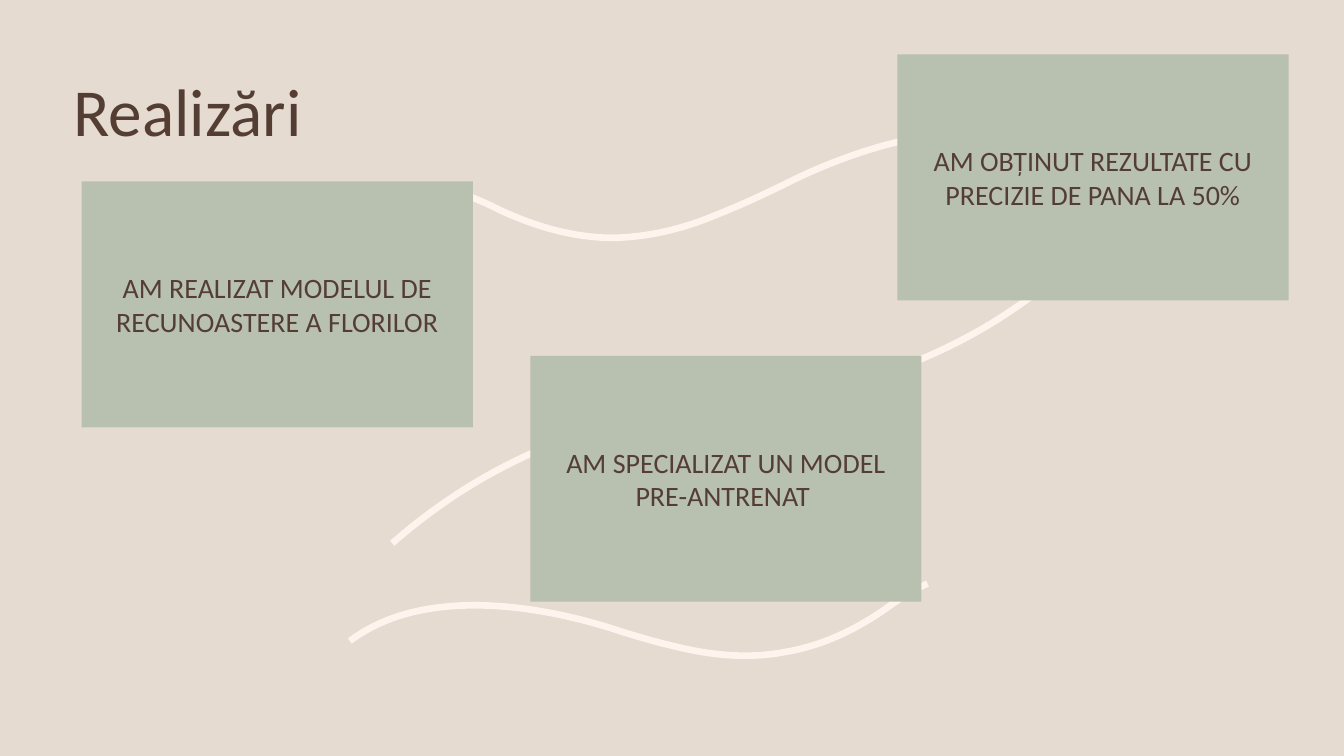
from lxml.etree import SubElement
from pptx import Presentation
from pptx.dml.color import RGBColor
from pptx.enum.text import MSO_ANCHOR, MSO_AUTO_SIZE, PP_ALIGN
from pptx.oxml.ns import qn
from pptx.util import Inches, Pt

# Content
TITLE = "Realizări"
CARDS = [  # text, left, top
    ("AM REALIZAT MODELUL DE RECUNOASTERE A FLORILOR", 0.81, 1.8),
    ("AM OBȚINUT REZULTATE CU\vPRECIZIE DE PANA LA 50%", 8.9, 0.54),
    ("AM SPECIALIZAT UN MODEL PRE-ANTRENAT ", 5.26, 3.53),
]
CARD_SIZE = (3.88, 2.44)
# Each wave: a start point, then two control points and an end point per curve
WAVES = [
    [(8.33, 3.83), (9.13, 3.63), (9.85, 3.27), (10.47, 2.75)],
    [(5.84, 4.28), (5.09, 4.52), (4.45, 4.9), (3.89, 5.39)],
    [(3.07, 2.23), (3.5, 1.87), (3.98, 1.77), (4.49, 1.9),
     (4.66, 1.94), (4.81, 2.01), (4.97, 2.09),
     (5.3, 2.24), (5.65, 2.35), (6.04, 2.36),
     (6.37, 2.36), (6.7, 2.29), (7.01, 2.17),
     (7.37, 2.03), (7.57, 1.93), (7.78, 1.83),
     (8.01, 1.71), (9.4, 1.03), (10.27, 1.46)],
    [(9.2, 5.79), (9.04, 5.86), (8.91, 5.95), (8.77, 6.05),
     (8.48, 6.25), (8.15, 6.41), (7.78, 6.47),
     (7.46, 6.53), (7.14, 6.51), (6.81, 6.44),
     (6.45, 6.36), (6.24, 6.29), (6.02, 6.22),
     (5.78, 6.15), (4.34, 5.7), (3.47, 6.36)],
]
COLORS = {"background": "E6DBD0", "wave": "FEF3ED", "card": "B8C0B0", "text": "543E34"}
FONT = "Calibri"


def color(role):
    return RGBColor.from_string(COLORS[role])


def place(holder, left, top, width, height):
    holder.left, holder.top = Inches(left), Inches(top)
    holder.width, holder.height = Inches(width), Inches(height)


def write(holder, text, size, align):
    frame = holder.text_frame
    frame.text = text
    frame.word_wrap = True
    frame.auto_size = MSO_AUTO_SIZE.NONE
    frame.vertical_anchor = MSO_ANCHOR.MIDDLE
    paragraph = frame.paragraphs[0]
    paragraph.alignment = align
    paragraph.space_before = Pt(0)
    font = paragraph.font
    font.name, font.size, font.bold = FONT, Pt(size), False
    font.color.rgb = color("text")
    return paragraph


def remove_bullet(paragraph):
    properties = paragraph._p.get_or_add_pPr()
    properties.set("marL", "0")
    properties.set("indent", "0")
    bullet = SubElement(properties, qn("a:buNone"))
    properties.find(qn("a:defRPr")).addprevious(bullet)


def bend(wave):
    """Turn every three line segments of the outline into one cubic curve."""
    outline = next(wave._element.iter(qn("a:path")))
    segments = outline.findall(qn("a:lnTo"))
    for i in range(0, len(segments), 3):
        curve = SubElement(outline, qn("a:cubicBezTo"))
        for segment in segments[i:i + 3]:
            curve.append(segment[0])
            outline.remove(segment)


def add_wave(slide, points):
    start, *rest = [(Inches(x), Inches(y)) for x, y in points]
    builder = slide.shapes.build_freeform(*start)
    builder.add_line_segments(rest, close=False)
    wave = builder.convert_to_shape()
    bend(wave)
    wave.shadow.inherit = False
    wave.fill.background()
    wave.line.color.rgb = color("wave")
    wave.line.width = Pt(4.75)
    return wave


def main():
    deck = Presentation()
    deck.slide_width, deck.slide_height = Inches(13.33), Inches(7.5)
    slide = deck.slides.add_slide(deck.slide_layouts[4])
    slide.background.fill.solid()
    slide.background.fill.fore_color.rgb = color("background")

    # Title
    title, *bodies = slide.placeholders
    place(title, 0.63, 0.77, 10, 0.74)
    write(title, TITLE, 48, PP_ALIGN.LEFT).line_spacing = 0.9

    # Cards
    for card, (text, left, top) in zip(bodies, CARDS):
        place(card, left, top, *CARD_SIZE)
        card.fill.solid()
        card.fill.fore_color.rgb = color("card")
        remove_bullet(write(card, text, 20, PP_ALIGN.CENTER))
    for spare in bodies[len(CARDS):]:
        spare._element.getparent().remove(spare._element)

    # Waves, behind the title and cards
    for points in WAVES:
        wave = add_wave(slide, points)
        title._element.addprevious(wave._element)

    deck.save("out.pptx")


if __name__ == "__main__":
    main()
